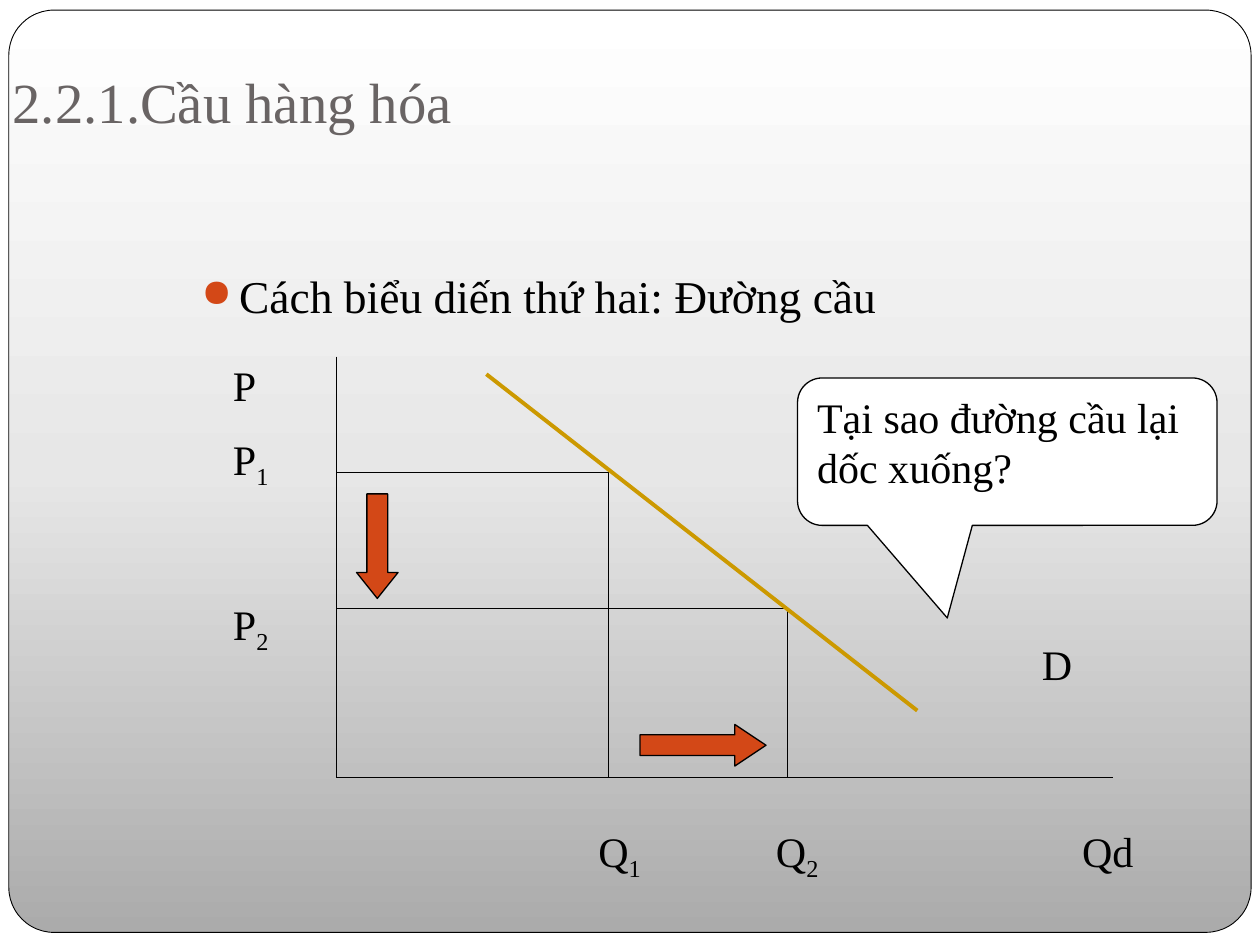
from copy import deepcopy

from lxml import etree
from pptx import Presentation
from pptx.dml.color import RGBColor
from pptx.enum import shapes, text
from pptx.oxml.ns import qn
from pptx.util import Inches, Pt

MSO = shapes.MSO_SHAPE
BLACK, ORANGE, GOLD, WHITE = "000000", "D34817", "CC9900", "FFFFFF"
rgb = RGBColor.from_string


def write(tf, paras, size=24, color=BLACK):
    """Fill a frame; each paragraph is a list of runs, '_' starts a subscript."""
    frame = {"word_wrap": True, "auto_size": text.MSO_AUTO_SIZE.NONE,
             "vertical_anchor": text.MSO_ANCHOR.TOP}
    for name, value in frame.items():
        setattr(tf, name, value)
    for i, runs in enumerate(paras):
        p = tf.paragraphs[0] if i == 0 else tf.add_paragraph()
        p.alignment = text.PP_ALIGN.LEFT
        for part in runs:
            r = p.add_run()
            r.text = part.lstrip("_")
            for name, value in {"name": "Times New Roman", "size": Pt(size)}.items():
                setattr(r.font, name, value)
            r.font.color.rgb = rgb(color)
            if part.startswith("_"):
                r._r.get_or_add_rPr().set("baseline", "-25000")


def add_shape(kind, box, fill, adj, width=0.75):
    sp = s.shapes.add_shape(kind, *map(Inches, box))
    sp.shadow.inherit = False
    for i, value in enumerate(adj):
        sp.adjustments[i] = value
    sp.fill.solid()
    sp.fill.fore_color.rgb = rgb(fill)
    sp.line.color.rgb = rgb(BLACK)
    sp.line.width = Pt(width)
    return sp


prs = Presentation()
prs.slide_width, prs.slide_height = Inches(10), Inches(7.5)
s = prs.slides.add_slide(prs.slide_layouts[5])
s.background.fill.solid()
s.background.fill.fore_color.rgb = rgb(WHITE)

# Rounded panel with a three-stop gradient, placed behind the title
panel = add_shape(MSO.ROUNDED_RECTANGLE, (0.07, 0.08, 9.86, 7.32), WHITE, [0.049], 0.5)
panel.fill.gradient()
panel.fill.gradient_angle = 90
stops = panel._element.spPr.find(".//" + qn("a:gsLst"))
stops.append(deepcopy(stops[-1]))
for stop, pos, color in zip(panel.fill.gradient_stops, (0, 0.5, 1),
                            ("ABABAB", "E7E7E7", WHITE)):
    stop.position = pos
    stop.color.rgb = rgb(color)
s.shapes._spTree.insert(2, panel._element)

# Title
title = s.shapes.title
for name, value in {"left": 0, "top": 0.42, "width": 9, "height": 1.25}.items():
    setattr(title, name, Inches(value))
write(title.text_frame, [["2.2.1.Cầu hàng hóa"]], 32.4, "696464")
title.text_frame.margin_top = Inches(0.11)

# Text boxes: bullet line, curve label, price labels, quantity labels
labels = {
    "bullet": ((1.5, 2.08, 8.5, 0.6), [["Cách biểu diến thứ hai: Đường cầu"]], 26),
    "curve": ((8.17, 5.02, 0.75, 0.5), [["D"]], 24),
    "prices": ((1.75, 2.8, 0.75, 2.95), [["P"], ["P", "_1"], ["P", "_2"]], 24),
    "quantities": ((2.17, 6.5, 7.17, 0.5),
                   [["\tQ", "_1", "\tQ", "_2", "\tQd"]], 24),
}
frames = {}
for key, (box, paras, size) in labels.items():
    frames[key] = s.shapes.add_textbox(*map(Inches, box)).text_frame
    write(frames[key], paras, size)

pPr = frames["bullet"].paragraphs[0]._p.get_or_add_pPr()
pPr.set("marL", str(Inches(0.3)))
pPr.set("indent", str(Inches(-0.3)))
color = etree.SubElement(pPr, qn("a:buClr"))
etree.SubElement(color, qn("a:srgbClr"), val=ORANGE)
etree.SubElement(pPr, qn("a:buSzPct"), val="85000")
etree.SubElement(pPr, qn("a:buChar"), char="●")

for p, gap in zip(frames["prices"].paragraphs[1:], (13.5, 61.5)):
    p.space_before = Pt(gap)

pPr = frames["quantities"].paragraphs[0]._p.get_or_add_pPr()
tabs = etree.SubElement(pPr, qn("a:tabLst"))
for pos in (2.48, 3.89, 6.32):
    etree.SubElement(tabs, qn("a:tab"), pos=str(Inches(pos)), algn="l")

# Callout and the two change arrows
callout = add_shape(MSO.ROUNDED_RECTANGULAR_CALLOUT, (6.33, 3, 3.33, 1.17), WHITE,
                    [-0.143, 1.128, 0.167])
write(callout.text_frame, [["Tại sao đường cầu lại dốc xuống?"]])
add_shape(MSO.DOWN_ARROW, (2.83, 3.92, 0.33, 0.83), ORANGE, [0.5, 0.625])
add_shape(MSO.RIGHT_ARROW, (5.08, 5.75, 1, 0.33), ORANGE, [0.5, 0.75])

# Axes, guides from each point to both axes, then the demand curve
x0, y0 = 2.67, 6.17
lines = [((x0, 2.83, x0, y0), BLACK, 0.75), ((x0, y0, 8.83, y0), BLACK, 0.75)]
for q, price in ((4.83, 3.75), (6.25, 4.83)):
    lines += [((x0, price, q, price), BLACK, 0.75), ((q, price, q, y0), BLACK, 0.75)]
lines.append(((3.86, 2.97, 7.28, 5.64), GOLD, 2.25))
for ends, color, width in lines:
    ln = s.shapes.add_connector(shapes.MSO_CONNECTOR.STRAIGHT, *map(Inches, ends))
    ln.line.color.rgb = rgb(color)
    ln.line.width = Pt(width)
    etree.SubElement(ln._element.spPr, qn("a:effectLst"))

prs.save("out.pptx")
